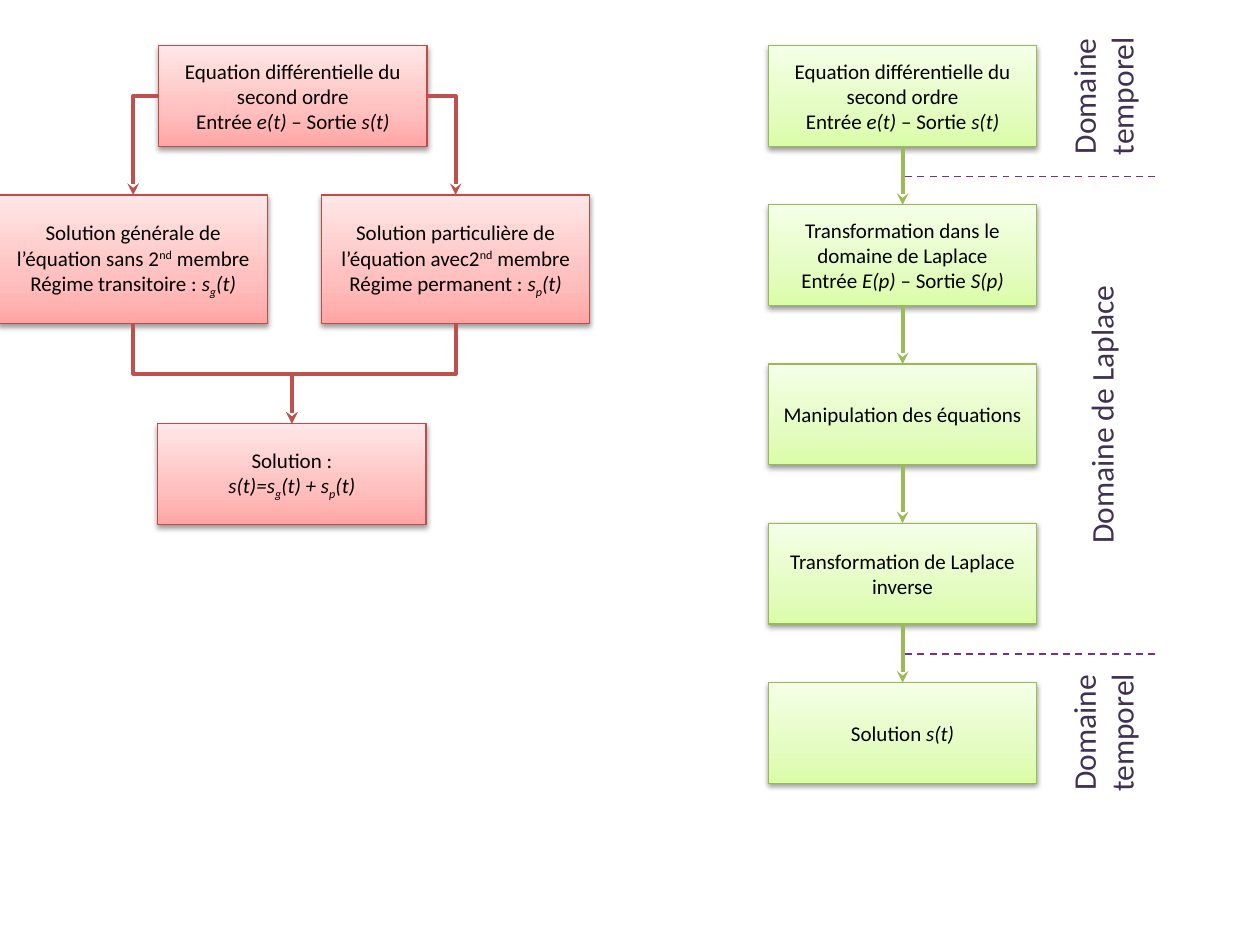
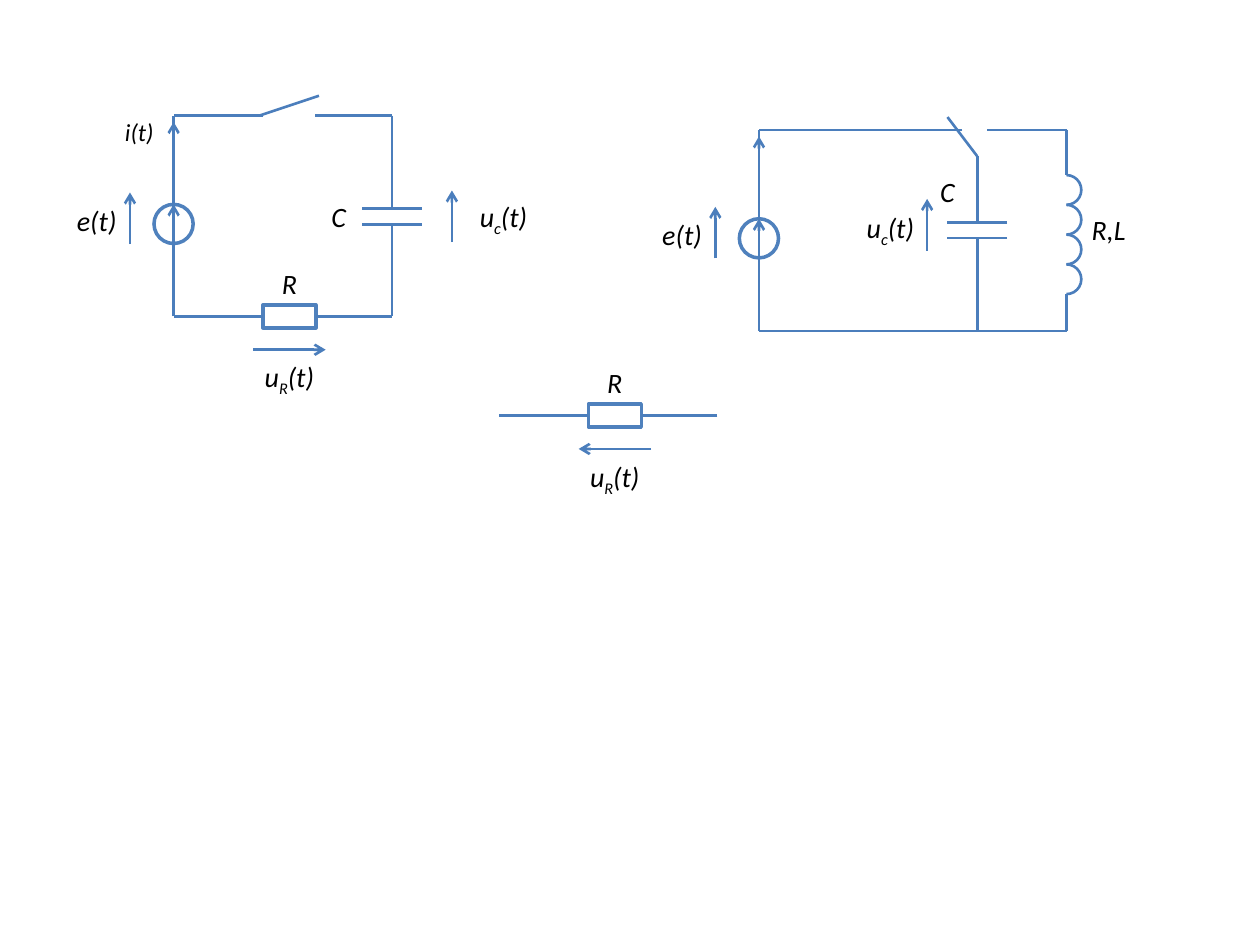
import dataclasses

import pptx
import pptx.dml.color
import pptx.enum.dml
import pptx.enum.shapes
import pptx.enum.text
import pptx.oxml
import pptx.oxml.ns
import pptx.util

Cm = pptx.util.Cm
Pt = pptx.util.Pt
SHAPE = pptx.enum.shapes.MSO_SHAPE
CONNECTOR = pptx.enum.shapes.MSO_CONNECTOR
ANCHOR = pptx.enum.text.MSO_ANCHOR
DRAWING_NAMESPACE = pptx.oxml.ns.nsdecls("a")

FONT = "Calibri"
BLACK, WHITE = "000000", "FFFFFF"
DOMAIN_TEXT, DOMAIN_LINE = "403152", "7030A0"
WIRE, SYMBOL_LINE = "4B7EBC", "4F81BD"
BOX_WIDTH, BOX_HEIGHT = 5.41, 2.03


@dataclasses.dataclass(frozen=True)
class Run:
    text: str
    italic: bool = False
    baseline: int = 0


@dataclasses.dataclass(frozen=True)
class BoxStyle:
    """Gradient from bottom to top, with outline and arrow colours."""
    bottom: str
    middle: str
    top: str
    outline: str
    arrow: str


@dataclasses.dataclass(frozen=True)
class Box:
    left: float
    top: float
    paragraphs: list[list[Run]]
    height: float = BOX_HEIGHT

    @property
    def center(self) -> float:
        return self.left + BOX_WIDTH / 2

    @property
    def bottom(self) -> float:
        return self.top + self.height


RED = BoxStyle("FFA6A5", "FFC0BF", "FFE7E7", "BF4C48", "C0504D")
GREEN = BoxStyle("DAFDA7", "E4FCC2", "F5FFE7", "98B955", "9BBB59")


def italic(text: str) -> Run:
    return Run(text, italic=True)


def subscript(text: str) -> Run:
    return Run(text, italic=True, baseline=-25000)


def color(hex_value: str) -> pptx.dml.color.RGBColor:
    return pptx.dml.color.RGBColor.from_string(hex_value)


def drawing_xml(xml: str):
    """Build a DrawingML element from text whose root has no namespace yet."""
    name, rest = xml.split(" ", 1)
    return pptx.oxml.parse_xml(f"{name} {DRAWING_NAMESPACE} {rest}")


def write_text(shape, paragraphs: list[list[Run]], size: float, hex_value: str) -> None:
    frame = shape.text_frame
    for index, runs in enumerate(paragraphs):
        paragraph = frame.add_paragraph() if index else frame.paragraphs[0]
        paragraph.alignment = pptx.enum.text.PP_ALIGN.CENTER
        for item in runs:
            run = paragraph.add_run()
            run.text = item.text
            run.font.name = FONT
            run.font.size = Pt(size)
            run.font.italic = item.italic
            run.font.color.rgb = color(hex_value)
            if item.baseline:
                run.font._element.set("baseline", str(item.baseline))


def style_line(line, hex_value: str, width: float) -> None:
    line.color.rgb = color(hex_value)
    line.width = Pt(width)


def add_line(slide, start: tuple[float, float], end: tuple[float, float],
             hex_value: str = WIRE, width: float = 1.5, head: str = "",
             kind=CONNECTOR.STRAIGHT):
    connector = slide.shapes.add_connector(
        kind, Cm(start[0]), Cm(start[1]), Cm(end[0]), Cm(end[1]))
    style_line(connector.line, hex_value, width)
    if head:
        connector.line._get_or_add_ln().append(drawing_xml(f'<a:tailEnd type="{head}"/>'))
    connector.element.spPr.append(drawing_xml("<a:effectLst />"))
    return connector


def add_corner_arrow(slide, start: tuple[float, float], end: tuple[float, float]) -> None:
    """Arrow that goes sideways first, then down."""
    connector = add_line(slide, start, end, RED.arrow, 2.25, "stealth", CONNECTOR.ELBOW)
    connector.element.spPr.prstGeom.set("prst", "bentConnector2")


def add_step_arrow(slide, start: tuple[float, float], end: tuple[float, float]) -> None:
    """Arrow that goes down, sideways and down: a quarter-turned elbow."""
    middle_x, middle_y = (start[0] + end[0]) / 2, (start[1] + end[1]) / 2
    half_drop, half_shift = (end[1] - start[1]) / 2, (start[0] - end[0]) / 2
    connector = add_line(
        slide, (middle_x - half_drop, middle_y - half_shift),
        (middle_x + half_drop, middle_y + half_shift),
        RED.arrow, 2.25, "stealth", CONNECTOR.ELBOW)
    connector.element.spPr.xfrm.set("rot", "5400000")


def add_box(slide, box: Box, style: BoxStyle) -> None:
    shape = slide.shapes.add_shape(
        SHAPE.RECTANGLE, Cm(box.left), Cm(box.top), Cm(BOX_WIDTH), Cm(box.height))
    style_line(shape.line, style.outline, 0.75)
    stops = "".join(
        f'<a:gs pos="{position}"><a:srgbClr val="{value}"/></a:gs>'
        for position, value in ((0, style.bottom), (35000, style.middle), (100000, style.top)))
    properties = shape.element.spPr
    properties.prstGeom.addnext(drawing_xml(
        f'<a:gradFill rotWithShape="1"><a:gsLst>{stops}</a:gsLst>'
        '<a:lin ang="16200000" scaled="1"/></a:gradFill>'))
    properties.append(drawing_xml(
        f'<a:effectLst ><a:outerShdw blurRad="{Pt(3.1)}" dist="{Pt(1.6)}" dir="5400000" '
        f'rotWithShape="0"><a:srgbClr val="{BLACK}"><a:alpha val="38000"/></a:srgbClr>'
        '</a:outerShdw></a:effectLst>'))
    shape.text_frame.vertical_anchor = ANCHOR.MIDDLE
    write_text(shape, box.paragraphs, 12, BLACK)


def add_text(slide, left: float, top: float, width: float, height: float,
             paragraphs: list[list[Run]], size: float, hex_value: str, wrap: bool):
    shape = slide.shapes.add_textbox(Cm(left), Cm(top), Cm(width), Cm(height))
    shape.text_frame.word_wrap = wrap
    shape.text_frame.auto_size = pptx.enum.text.MSO_AUTO_SIZE.SHAPE_TO_FIT_TEXT
    write_text(shape, paragraphs, size, hex_value)
    return shape


def add_domain(slide, left: float, top: float, width: float, height: float,
               lines: list[str]) -> None:
    shape = add_text(slide, left, top, width, height, [[Run(line)] for line in lines],
                     18, DOMAIN_TEXT, True)
    shape.rotation = 270


def add_label(slide, center: float, top: float, runs: list[Run],
              width: float = 1.5, size: float = 16) -> None:
    add_text(slide, center - width / 2, top, width, 0.94, [runs], size, BLACK, False)


def add_symbol(slide, preset, left: float, top: float, width: float, height: float):
    shape = slide.shapes.add_shape(preset, Cm(left), Cm(top), Cm(width), Cm(height))
    shape.shadow.inherit = False
    shape.fill.solid()
    shape.fill.fore_color.rgb = color(WHITE)
    style_line(shape.line, SYMBOL_LINE, 2)
    return shape


def add_source_branch(slide, x: float, top: float) -> None:
    """Vertical wire with voltage source, current arrow and e(t)."""
    diameter, source_top = 0.79, top + 1.79
    add_symbol(slide, SHAPE.OVAL, x - diameter / 2, source_top, diameter, diameter)
    add_line(slide, (x, source_top + diameter), (x, source_top), head="arrow")
    add_line(slide, (x, top + 4.05), (x, top))
    add_line(slide, (x, top + 0.91), (x, top + 0.13), head="arrow")
    add_line(slide, (x - 0.88, top + 2.59), (x - 0.88, top + 1.55), head="arrow")
    add_label(slide, x - 1.55, top + 1.65, [italic("e(t)")], 1.32)


def add_capacitor(slide, x: float, lead_top: float, plate: float, lead_bottom: float) -> None:
    gap, half_width = 0.32, 0.6
    add_line(slide, (x, lead_top), (x, plate))
    for y in (plate, plate + gap):
        add_line(slide, (x + half_width, y), (x - half_width, y))
    add_line(slide, (x, plate + gap), (x, lead_bottom))


def add_resistor(slide, left: float, y: float, direction: int) -> None:
    """Resistor with leads; direction is 1 for a voltage arrow to the right, -1 to the left."""
    width, height, lead = 1.07, 0.46, 1.8
    center = left + lead + width / 2
    add_symbol(slide, SHAPE.RECTANGLE, left + lead, y - height / 2, width, height)
    add_line(slide, (left + 4.4, y), (left + lead + width, y))
    add_line(slide, (left + lead, y), (left, y))
    add_label(slide, center, y - 1.14, [italic("R")], 0.81)
    reach = 0.73 * direction
    add_line(slide, (center - reach, y + 0.67), (center + reach, y + 0.67), head="arrow")
    add_label(slide, center, y + 0.75, [italic("u"), subscript("R"), italic("(t)")], 1.55)


def add_capacitor_voltage(slide, arrow_x: float, arrow_bottom: float,
                          label_center: float, label_top: float) -> None:
    add_line(slide, (arrow_x, arrow_bottom), (arrow_x, arrow_bottom - 1.04), head="arrow")
    add_label(slide, label_center, label_top, [italic("u"), subscript("c"), italic("(t)")])


def member_text(opening: str, regime: str, index: str) -> list[list[Run]]:
    return [[Run(opening + "2"), Run("nd", baseline=30000), Run(" membre")],
            [Run(f"Régime {regime} : "), italic("s"), subscript(index), italic("(t)")]]


def input_output_text(opening: str, entry: str, output: str) -> list[list[Run]]:
    return [[Run(opening)],
            [Run("Entrée "), italic(entry), Run(" – Sortie "), italic(output)]]


EQUATION = input_output_text("Equation différentielle du second ordre", "e(t)", "s(t)")


def draw_resolution_methods(slide) -> None:
    equation = Box(3.2, 0.92, EQUATION)
    general = Box(-0.02, 3.93, member_text(
        "Solution générale de l’équation sans ", "transitoire", "g"), 2.6)
    particular = Box(6.48, 3.93, member_text(
        "Solution particulière de l’équation avec", "permanent", "p"), 2.6)
    solution = Box(3.18, 8.54, [
        [Run("Solution :")],
        [italic("s(t)=s"), subscript("g"), italic("(t) + s"), subscript("p"), italic("(t)")]])
    for box in (equation, general, particular, solution):
        add_box(slide, box, RED)
    side_y = equation.top + BOX_HEIGHT / 2
    add_corner_arrow(slide, (equation.left, side_y), (general.center, general.top))
    add_corner_arrow(slide, (equation.left + BOX_WIDTH, side_y),
                     (particular.center, particular.top))
    for box in (particular, general):
        add_step_arrow(slide, (box.center, box.bottom), (solution.center, solution.top))

    steps = [
        EQUATION,
        input_output_text("Transformation dans le domaine de Laplace", "E(p)", "S(p)"),
        [[Run("Manipulation des équations")]],
        [[Run("Transformation de Laplace inverse")]],
        [[Run("Solution "), italic("s(t)")]],
    ]
    boxes = [Box(15.49, 0.92 + 3.21 * index, text) for index, text in enumerate(steps)]
    for box in boxes:
        add_box(slide, box, GREEN)
    for upper, lower in zip(boxes, boxes[1:]):
        add_line(slide, (upper.center, upper.bottom), (lower.center, lower.top),
                 GREEN.arrow, 2.25, "stealth")

    for y in (3.56, 13.18):
        border = add_line(slide, (23.29, y), (18.21, y), DOMAIN_LINE, 1)
        border.line.dash_style = pptx.enum.dml.MSO_LINE.DASH
    add_domain(slide, 19.2, 7.85, 6, 1.02, ["Domaine de Laplace"])
    for top in (13.87, 1.04):
        add_domain(slide, 20.73, top, 3, 1.8, ["Domaine", "temporel"])


def draw_charging_circuit(slide) -> None:
    left, right, top, bottom = 3.5, 7.9, 2.33, 6.38
    add_source_branch(slide, left, top)
    add_label(slide, 2.81, 2.24, [italic("i(t)")], 1.09, 14)
    add_line(slide, (5.31, top), (left, top))
    add_line(slide, (right, top), (6.35, top))
    add_line(slide, (6.43, 1.93), (5.23, top))
    add_capacitor(slide, right, top, 4.2, bottom)
    add_label(slide, 6.83, 3.89, [italic("C")], 0.81)
    add_capacitor_voltage(slide, 9.11, 4.88, 10.15, 3.89)
    add_resistor(slide, left, bottom, 1)


def draw_oscillating_circuit(slide) -> None:
    left, middle, right, top, bottom = 15.3, 19.7, 21.5, 2.62, 6.67
    add_source_branch(slide, left, top)
    add_line(slide, (19.4, top), (left, top))
    add_line(slide, (right, top), (19.89, top))
    add_line(slide, (middle, 3.15), (19.1, 2.36))
    add_capacitor(slide, middle, 3.15, 4.48, bottom)
    add_label(slide, 19.1, 3.4, [italic("C")], 0.81)
    add_capacitor_voltage(slide, 18.69, 5.05, 17.95, 4.11)
    add_line(slide, (right, bottom), (left, bottom))

    turn, coil_top, turns = 0.6, 3.53, 4
    add_line(slide, (right, top), (right, coil_top))
    for index in range(turns):
        arc = add_symbol(slide, SHAPE.ARC, right - turn / 2, coil_top + index * turn, turn, turn)
        arc.adjustments[0], arc.adjustments[1] = 162, 54
        arc.fill.background()
        style_line(arc.line, WIRE, 1.5)
    add_line(slide, (right, coil_top + turns * turn), (right, bottom))
    add_label(slide, 22.35, 4.17, [italic("R,L")])


def main() -> None:
    presentation = pptx.Presentation()
    presentation.slide_width, presentation.slide_height = Cm(25.4), Cm(19.05)
    blank = presentation.slide_layouts[6]
    draw_resolution_methods(presentation.slides.add_slide(blank))
    circuits = presentation.slides.add_slide(blank)
    draw_charging_circuit(circuits)
    draw_oscillating_circuit(circuits)
    add_resistor(circuits, 10.06, 8.38, -1)
    presentation.save("out.pptx")


if __name__ == "__main__":
    main()
